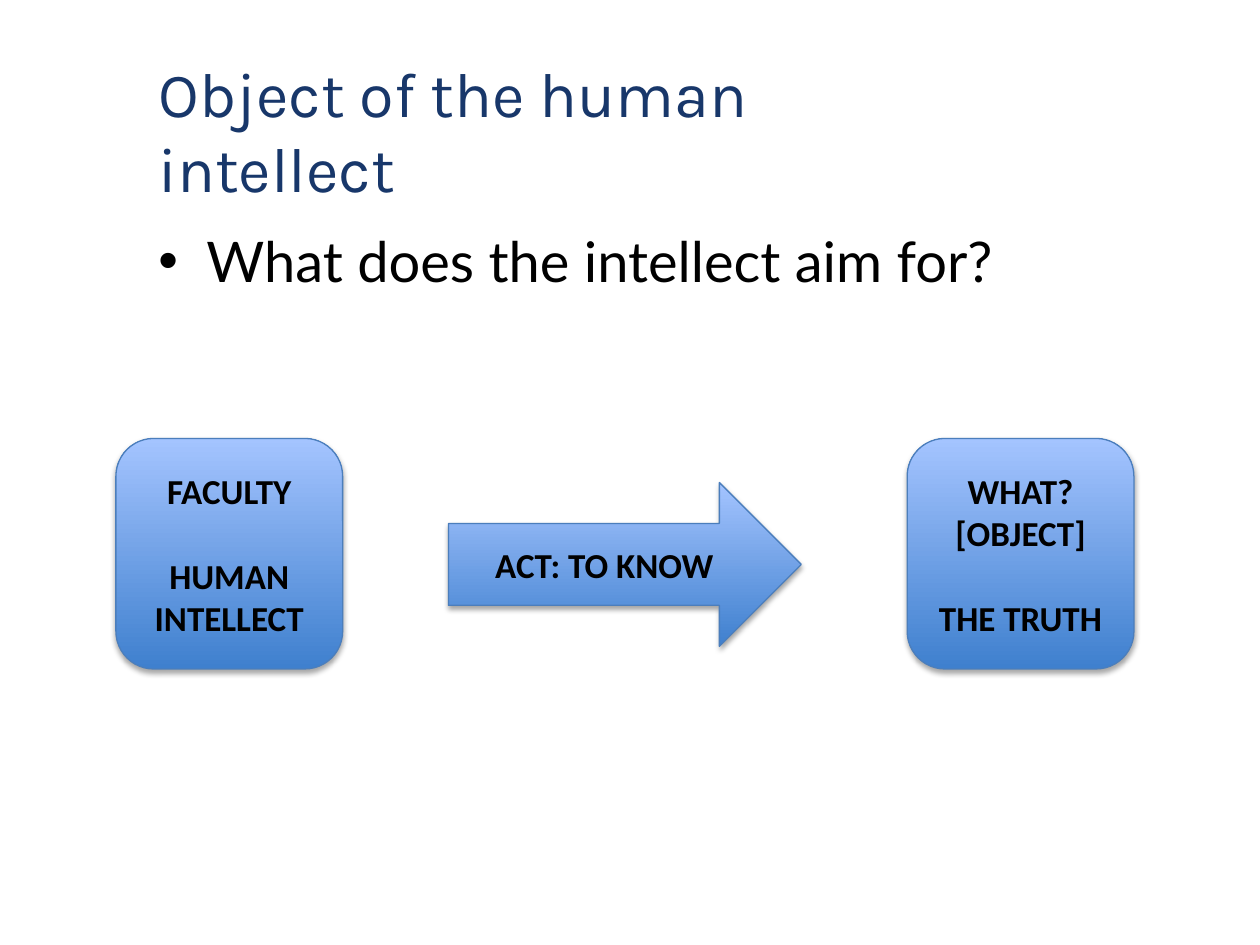
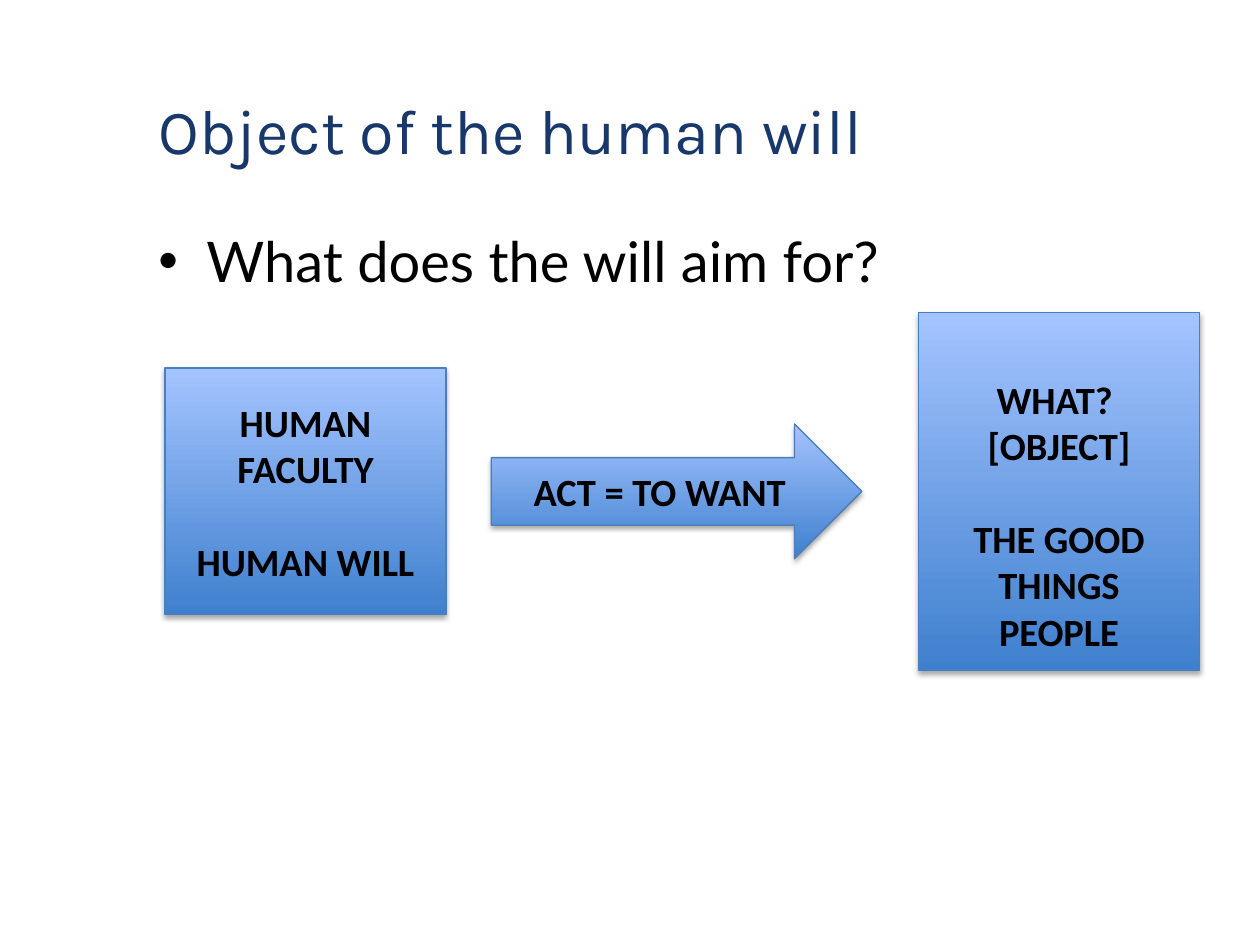
from dataclasses import dataclass
from lxml.etree import SubElement as Sub
from pptx import Presentation
from pptx.dml.color import RGBColor as RGB
from pptx.enum.shapes import MSO_SHAPE as Kind
from pptx.enum.text import MSO_ANCHOR as Anchor, PP_ALIGN as Align
from pptx.oxml.ns import qn
from pptx.util import Emu, Inches, Pt


@dataclass(frozen=True)
class Theme:
    wide: int = Inches(10)
    high: int = Inches(7.5)
    cols: int = 100
    navy: RGB = RGB(0x18, 0x37, 0x6A)
    black: RGB = RGB(0, 0, 0)
    edge: RGB = RGB(0x4B, 0x7E, 0xBC)
    deep: RGB = RGB(0x3F, 0x80, 0xCE)
    pale: RGB = RGB(0xA4, 0xC4, 0xFF)
    head: int = 36
    body: int = 32
    lead: float = 1.22


T = Theme()


def grid(*cells):
    return [Emu(round(cell * T.wide / T.cols)) for cell in cells]


def style(font, size, name, color, bold=False):
    for key, value in dict(size=Pt(size), name=name, bold=bold).items():
        setattr(font, key, value)
    font.color.rgb = color


def text_box(slide, place, anchor):
    frame = slide.shapes.add_textbox(*grid(*place)).text_frame
    frame.word_wrap = True
    frame.vertical_anchor = anchor
    return frame.paragraphs[0]


def add_title(slide, text):
    para = text_box(slide, (11.6, 6, 58.9, 8.6), Anchor.MIDDLE)
    para.text = text
    style(para.font, T.head, "Karla", T.navy)


def add_point(slide, text):
    para = text_box(slide, (11.6, 17.5, 83.4, 53.7), Anchor.TOP)
    props = para._p.get_or_add_pPr()
    indent = Inches(0.38)
    props.set("marL", str(indent))
    props.set("indent", str(-indent))
    Sub(props, qn("a:buFont"), typeface="Arial")
    Sub(props, qn("a:buChar"), char="•")
    para.text = text
    style(para.font, T.body, "Lato", T.black)


def add_shade(shape):
    shape.shadow.inherit = False
    effects = shape.element.spPr.find(qn("a:effectLst"))
    shade = Sub(effects, qn("a:outerShdw"), blurRad=str(Pt(3.1)),
                dist=str(Pt(1.8)), dir="5400000", rotWithShape="0")
    color = Sub(shade, qn("a:srgbClr"), val=str(T.black))
    Sub(color, qn("a:alpha"), val="35000")


def add_node(slide, kind, left, mid, wide, high, size, groups, drop=0):
    place = grid(left, mid - high / 2, wide, high)
    shape = slide.shapes.add_shape(kind, *place)
    shape.fill.gradient()
    shape.fill.gradient_angle = 90
    for stop, color in zip(shape.fill.gradient_stops, (T.deep, T.pale)):
        stop.color.rgb = color
    shape.line.color.rgb = T.edge
    shape.line.width = Pt(0.75)
    add_shade(shape)
    frame = shape.text_frame
    frame.word_wrap = True
    frame.vertical_anchor = Anchor.MIDDLE
    frame.margin_top += Pt(drop * size * T.lead)
    para = None
    for group in groups:
        for row, line in enumerate(group):
            gap = para is not None and row == 0
            para = frame.add_paragraph() if para else frame.paragraphs[0]
            para.text = line
            para.alignment = Align.CENTER
            if gap:
                para.space_before = Pt(size * T.lead)
            style(para.font, size, "Calibri", T.black, True)


def add_page(deck, title, point):
    slide = deck.slides.add_slide(deck.slide_layouts[6])
    add_title(slide, title)
    add_point(slide, point)
    return slide


def add_mind(deck):
    slide = add_page(deck, "Object of the human intellect",
                     "What does the intellect aim for?")
    size, mid = 20, 43.95
    ends = ((9.2, [["FACULTY"], ["HUMAN INTELLECT"]]),
            (72, [["WHAT? [OBJECT]"], ["THE TRUTH"]]))
    for left, groups in ends:
        add_node(slide, Kind.ROUNDED_RECTANGLE, left, mid, 18, 18.3, size, groups)
    add_node(slide, Kind.RIGHT_ARROW, 35.6, 44.8, 28, 13, size, [["ACT: TO KNOW"]])


def add_will(deck):
    slide = add_page(deck, "Object of the human will",
                     "What does the will aim for?")
    size, mid, wide = 22, 39, 22.3
    goal = [["WHAT? ", "[OBJECT]"], ["THE GOOD", "THINGS", "PEOPLE"]]
    add_node(slide, Kind.RECTANGLE, 13.1, mid, wide, 19.6, size,
             [["HUMAN FACULTY"], ["HUMAN WILL"]])
    add_node(slide, Kind.RIGHT_ARROW, 39, mid, 29.4, 10.7, size, [["ACT = TO WANT"]])
    add_node(slide, Kind.RECTANGLE, 72.9, mid, wide, 28.4, size, goal, drop=1)


def main():
    deck = Presentation()
    deck.slide_width, deck.slide_height = T.wide, T.high
    add_mind(deck)
    add_will(deck)
    deck.save("out.pptx")


if __name__ == "__main__":
    main()
